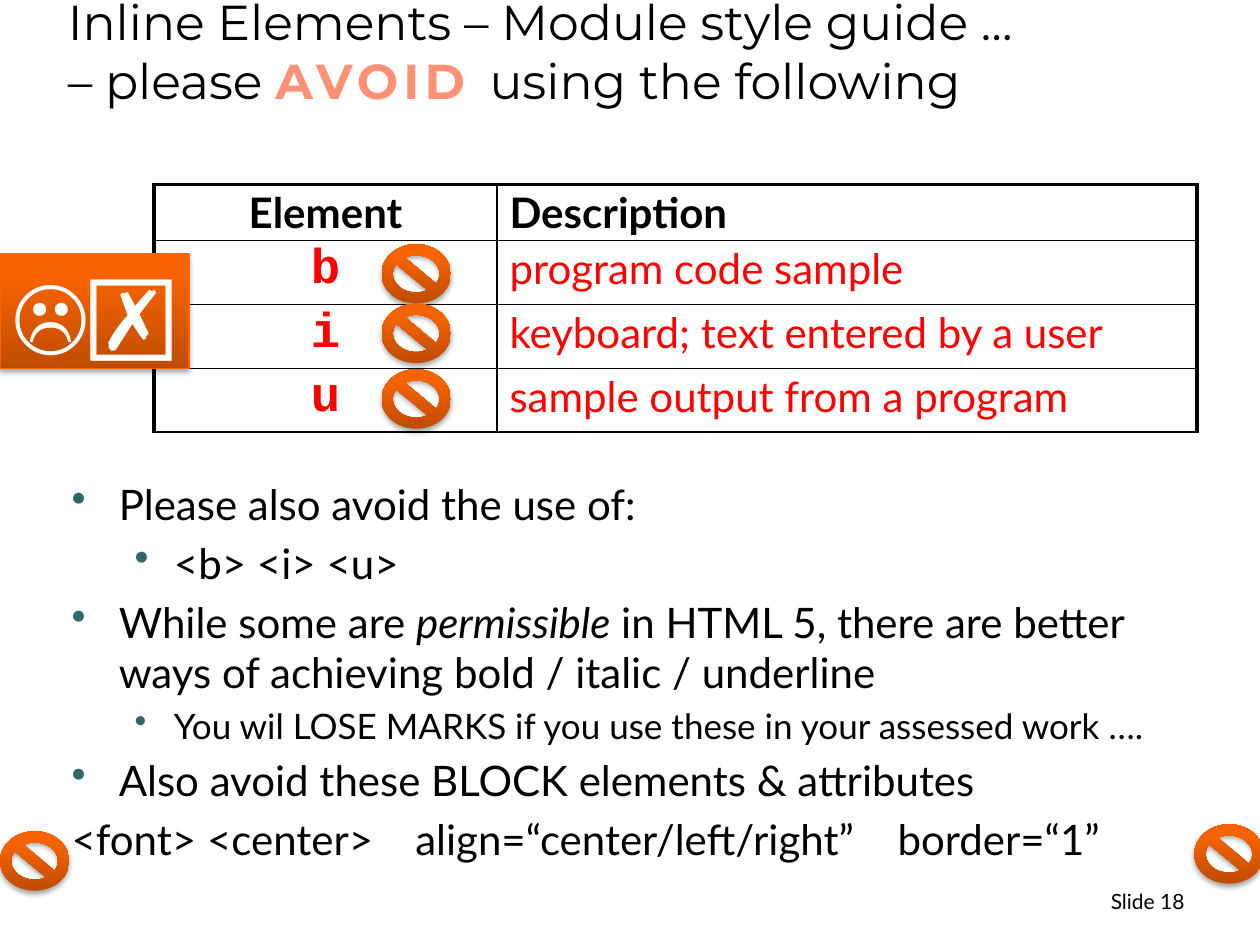
"""Build the slide on inline elements to avoid in the module style guide."""
import lxml.etree
import pptx
import pptx.dml.color
import pptx.enum.shapes
import pptx.enum.text
import pptx.oxml.ns
import pptx.util

Pt = pptx.util.Pt
RGB = pptx.dml.color.RGBColor
Align = pptx.enum.text.PP_ALIGN
Anchor = pptx.enum.text.MSO_ANCHOR
Shape = pptx.enum.shapes.MSO_SHAPE

BLACK = RGB(0x00, 0x00, 0x00)
WHITE = RGB(0xFF, 0xFF, 0xFF)
RED = RGB(0xFF, 0x00, 0x00)
CORAL = RGB(0xFF, 0x91, 0x76)
TEAL = RGB(0x33, 0x66, 0x66)
RUST = RGB(0xBE, 0x4C, 0x00)
ORANGE = RGB(0xF7, 0x63, 0x00)
EDGE = RGB(0xF9, 0x64, 0x00)


def add(parent, tag, **attrs):
    node = lxml.etree.SubElement(parent, pptx.oxml.ns.qn(tag))
    for key, value in attrs.items():
        node.set(key, str(value))
    return node


class Deck:
    def __init__(self, width, height):
        self.file = pptx.Presentation()
        self.file.slide_width, self.file.slide_height = Pt(width), Pt(height)
        self.slide = self.file.slides.add_slide(self.file.slide_layouts[6])
        self.face = "Lato"

    def font(self, run, size, color=BLACK, bold=False, face=None):
        run.font.size, run.font.bold = Pt(size), bold
        run.font.name = face or self.face
        run.font.color.rgb = color

    def text(self, box, anchor=Anchor.TOP):
        shape = self.slide.shapes.add_textbox(*map(Pt, box))
        frame = shape.text_frame
        frame.word_wrap = True
        frame.vertical_anchor = anchor
        return frame

    def bullet(self, par, left, hang):
        props = par._p.get_or_add_pPr()
        props.set("marL", str(Pt(left)))
        props.set("indent", str(-Pt(hang)))
        add(add(props, "a:buClr"), "a:srgbClr", val=TEAL)
        add(props, "a:buChar", char="•")

    def tabs(self, par, stops):
        tabs = add(par._p.get_or_add_pPr(), "a:tabLst")
        for stop in stops:
            add(tabs, "a:tab", pos=Pt(stop), algn="l")

    def glossy(self, kind, box):
        shape = self.slide.shapes.add_shape(kind, *map(Pt, box))
        shape.shadow.inherit = False
        shape.fill.gradient()
        shape.fill.gradient_angle = 90
        stops = shape.fill.gradient_stops
        for stop, place, color in zip(stops, (0, 0.8), (RUST, ORANGE)):
            stop.position, stop.color.rgb = place, color
        shape.line.fill.background()
        effects = shape._element.spPr.find(pptx.oxml.ns.qn("a:effectLst"))
        shadow = add(effects, "a:outerShdw", blurRad=Pt(3.1), dist=Pt(1.8),
                     dir=5400000, rotWithShape=0)
        add(add(shadow, "a:srgbClr", val=BLACK), "a:alpha", val=35000)
        return shape

    def table(self, left, top, cols, rows):
        shape = self.slide.shapes.add_table(
            len(rows), len(cols), Pt(left), Pt(top), Pt(sum(cols)), Pt(sum(rows)))
        grid = shape.table
        grid.first_row = grid.horz_banding = False
        for col, width in zip(grid.columns, cols):
            col.width = Pt(width)
        for row, height in zip(grid.rows, rows):
            row.height = Pt(height)
        return grid

    def cell(self, cell, text, align, edges, **style):
        cell.margin_left = cell.margin_right = Pt(7.2)
        cell.margin_top = cell.margin_bottom = Pt(1.44)
        cell.text_frame.text = text
        par = cell.text_frame.paragraphs[0]
        par.alignment = align
        self.font(par.runs[0], **style)
        props = cell._tc.get_or_add_tcPr()
        for side, width in zip("LRTB", edges):
            line = add(props, f"a:ln{side}", w=Pt(width))
            add(add(line, "a:solidFill"), "a:srgbClr", val=BLACK)
        cell.fill.background()


def title(deck):
    par = deck.text((31.7, 18, 612, 48.2), Anchor.BOTTOM).paragraphs[0]
    par.text = "Inline Elements – Module style guide … \v– please "
    shout, rest = par.add_run(), par.add_run()
    shout.text, rest.text = "AVOID ", "using the following"
    for run in par.runs:
        deck.font(run, 28, face="Montserrat")
    deck.font(shout, 28, CORAL, True, "Montserrat")
    shout._r.get_or_add_rPr().set("spc", "300")


def elements(deck):
    rows = [("Element", "Description"), ("b", "program code sample"),
            ("i", "keyboard; text entered by a user"),
            ("u", "sample output from a program")]
    grid = deck.table(88, 105.5, (196, 400), (32, 34.5, 34.5, 34.5))
    head = dict(size=24, bold=True)
    tag = dict(size=28, color=RED, bold=True, face="Courier New")
    note = dict(size=24, color=RED)
    for num, (name, use) in enumerate(rows):
        top = 1 if num else 2.25
        deck.cell(grid.cell(num, 0), name, Align.CENTER, (2.25, 1, top, 1),
                  **(tag if num else head))
        deck.cell(grid.cell(num, 1), use, Align.LEFT, (1, 2.25, top, 1),
                  **(note if num else head))


def advice(deck):
    lines = [
        (0, 24, ["Please also avoid the use of:"]),
        (1, 24, ["<b> <i> <u>"]),
        (0, 24, ["While some are ", "permissible", " in HTML 5, there are better "
                 "ways of achieving bold / italic / underline"]),
        (1, 20, ["You wil LOSE MARKS if you use these in your assessed work …."]),
        (0, 24, ["Also avoid these BLOCK elements & attributes"]),
        (None, 24, ["<font> <center>\talign=“center/left/right”\tborder=“1”"])]
    indents = [(27, 27), (58.5, 22.5)]
    frame = deck.text((33.8, 270, 661, 259.2))
    for num, (level, size, parts) in enumerate(lines):
        par = frame.add_paragraph() if num else frame.paragraphs[0]
        par.space_before = Pt(size * 0.2)
        for part in parts:
            run = par.add_run()
            run.text = part
            deck.font(run, size)
            run.font.italic = part == "permissible"
        if level is None:
            deck.tabs(par, (196.5, 472))
        else:
            par.level = level
            deck.bullet(par, *indents[level])


def signs(deck):
    for left, top in [(218, 139.5), (218, 173.5), (218, 211),
                      (682.5, 471), (0, 475)]:
        deck.glossy(Shape.NO_SYMBOL, (left, top, 39.6, 34))
    badge = deck.glossy(Shape.RECTANGLE, (0, 145.2, 108, 65.5))
    badge.line.color.rgb, badge.line.width = EDGE, Pt(0.75)
    frame = badge.text_frame
    frame.text = "☹☒"
    frame.vertical_anchor = Anchor.TOP
    frame.paragraphs[0].alignment = Align.LEFT
    deck.font(frame.paragraphs[0].runs[0], 48, WHITE, True)


def footer(deck):
    frame = deck.text((516.2, 500.4, 167.8, 28.8), Anchor.MIDDLE)
    frame.text = "Slide 18"
    frame.paragraphs[0].alignment = Align.RIGHT
    deck.font(frame.paragraphs[0].runs[0], 12)


def main():
    deck = Deck(720, 540)
    for part in (title, elements, advice, footer, signs):
        part(deck)
    deck.file.save("out.pptx")


if __name__ == "__main__":
    main()
